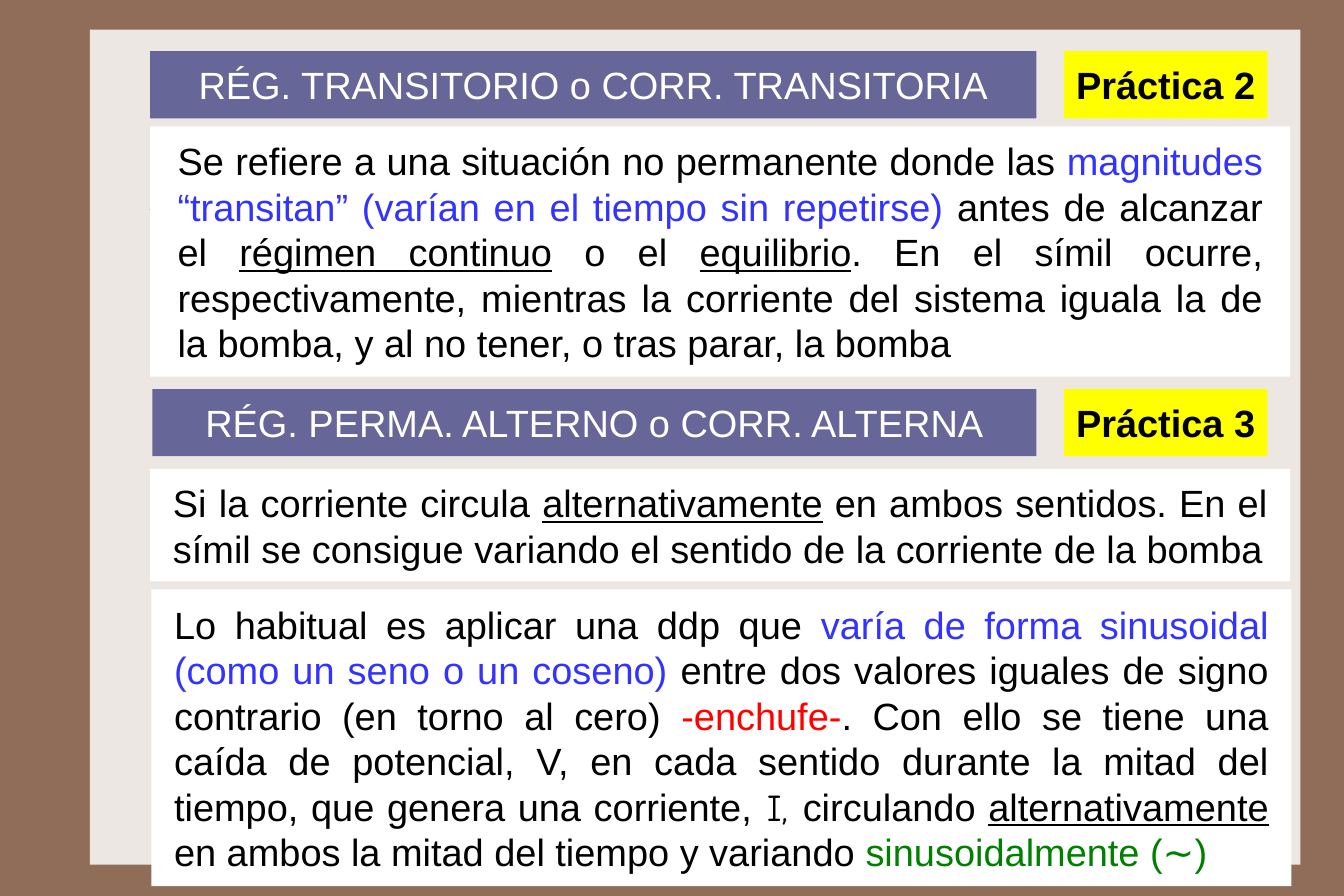
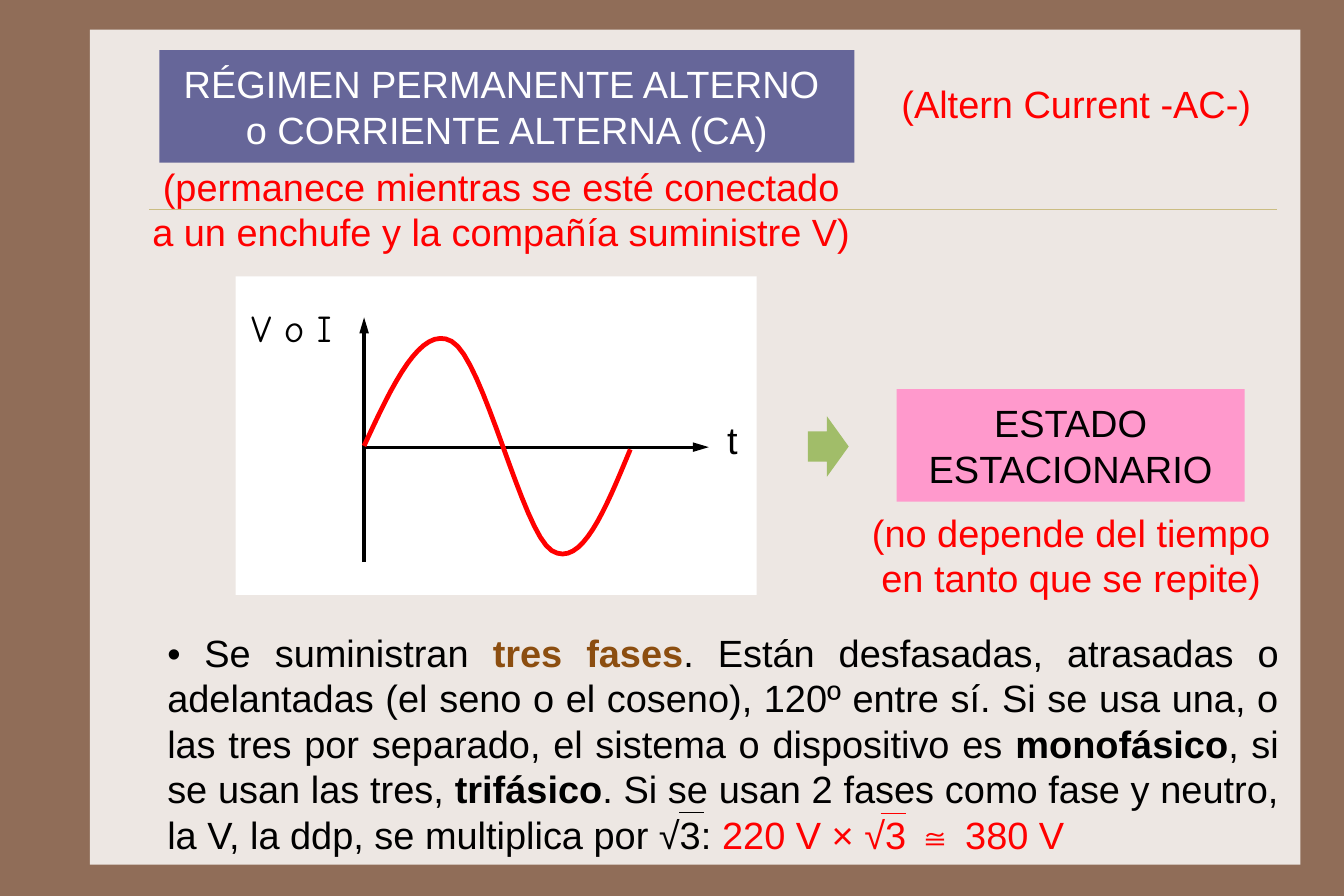
from lxml import etree
from pptx import Presentation
from pptx import util as u
from pptx.dml import color as c
from pptx.enum import shapes, text
from pptx.oxml import ns

PX = 9144
RECT = shapes.MSO_SHAPE.RECTANGLE
CENTER, JUSTIFY, LEFT = text.PP_ALIGN.CENTER, text.PP_ALIGN.JUSTIFY, text.PP_ALIGN.LEFT
WHITE, BLACK, RED, BLUE = "FFFFFF", "000000", "FF0000", "3333FF"
BROWN, GREEN, SLATE, YELLOW = "8C4E10", "008000", "666699", "FFFF00"


def hue(code):
    return c.RGBColor.from_string(code)


def put(shape, box, *runs, fill=None, color=BLACK, align=CENTER, side=5, font="Arial", bold=False):
    shape.left, shape.top, shape.width, shape.height = [n * PX for n in box]
    shape.shadow.inherit = False
    shape.line.fill.background()
    if fill:
        shape.fill.solid()
        shape.fill.fore_color.rgb = hue(fill)
    else:
        shape.fill.background()
    frame = shape.text_frame
    frame.word_wrap = True
    frame.auto_size = text.MSO_AUTO_SIZE.NONE
    frame.vertical_anchor = text.MSO_ANCHOR.MIDDLE
    frame.margin_left = frame.margin_right = side * PX
    frame.margin_top = frame.margin_bottom = 0
    paragraph = frame.paragraphs[0]
    for run in runs:
        words, look = (run, {}) if isinstance(run, str) else run
        for n, line in enumerate(words.split("\n")):
            if n:
                paragraph = frame.add_paragraph()
            piece = paragraph.add_run()
            piece.text = line
            piece.font.size = u.Pt(24)
            piece.font.name = look.get("font", font)
            piece.font.bold = look.get("bold", bold)
            piece.font.underline = look.get("underline", False)
            piece.font.color.rgb = hue(look.get("color", color))
    for paragraph in frame.paragraphs:
        paragraph.alignment = align
        paragraph.line_spacing = u.Pt(28.8)
        paragraph.space_before = u.Pt(0)
        if shape.is_placeholder:
            props = paragraph._p.get_or_add_pPr()
            props.set("marL", "0")
            props.set("indent", "0")
            etree.SubElement(props, ns.qn("a:buNone"))
    return shape


prs = Presentation()
prs.slide_width, prs.slide_height = u.Pt(850.5), u.Pt(567)
backdrop = prs.slide_master.background.fill
backdrop.solid()
backdrop.fore_color.rgb = hue("906D58")
layout = prs.slide_layouts[1]
regimes, alternating = [prs.slides.add_slide(layout) for _ in range(2)]
UNDERLINED, STRONG = {"underline": True}, {"bold": True}

put(regimes.shapes.title, (132, 45, 779, 59), "RÉG. TRANSITORIO o CORR. TRANSITORIA",
    fill=SLATE, color=WHITE)
put(regimes.placeholders[1], (132, 111, 1002, 220),
    "Se refiere a una situación no permanente donde las ",
    ("magnitudes “transitan” (varían en el tiempo sin repetirse) ", {"color": BLUE}),
    "antes de alcanzar el ", ("régimen continuo", UNDERLINED), " o el ",
    ("equilibrio", UNDERLINED),
    ". En el símil ocurre, respectivamente, mientras la corriente del sistema iguala la de "
    "la bomba, y al no tener, o tras parar, la bomba",
    fill=WHITE, align=JUSTIFY, side=24)
put(regimes.shapes.add_shape(RECT, 0, 0, 0, 0), (133, 518, 1002, 261),
    "Lo habitual es aplicar una ddp que ",
    ("varía de forma sinusoidal (como un seno o un coseno) ", {"color": BLUE}),
    "entre dos valores iguales de signo contrario (en torno al cero) ",
    ("-enchufe-", {"color": RED}),
    ". Con ello se tiene una caída de potencial, V, en cada sentido durante la mitad del "
    "tiempo, que genera una corriente,",
    (" I, ", {"font": "Comic Neue"}), "circulando ", ("alternativamente", UNDERLINED),
    " en ambos la mitad del tiempo y variando ", ("sinusoidalmente (∼)", {"color": GREEN}),
    fill=WHITE, align=JUSTIFY, side=20)
put(regimes.shapes.add_shape(RECT, 0, 0, 0, 0), (134, 342, 777, 59),
    "RÉG. PERMA. ALTERNO o CORR. ALTERNA", fill=SLATE, color=WHITE)
put(regimes.shapes.add_shape(RECT, 0, 0, 0, 0), (132, 412, 1002, 99),
    "Si la corriente circula ", ("alternativamente", UNDERLINED),
    " en ambos sentidos. En el símil se consigue variando el sentido de la corriente de la bomba",
    fill=WHITE, align=JUSTIFY, side=20)
for practice, top in (("Práctica 2", 45), ("Práctica 3", 342)):
    put(regimes.shapes.add_shape(RECT, 0, 0, 0, 0), (935, top, 179, 59), practice,
        fill=YELLOW, bold=True)

put(alternating.shapes.title, (140, 44, 611, 99),
    "RÉGIMEN PERMANENTE ALTERNO \no CORRIENTE ALTERNA (CA)", fill=SLATE, color=WHITE)
put(alternating.placeholders[1], (127, 543, 1017, 220),
    "• Se suministran ", ("tres fases", {"color": BROWN, "bold": True}),
    ". Están desfasadas, atrasadas o adelantadas (el seno o el coseno), 120º entre sí. Si se "
    "usa una, o las tres por separado, el sistema o dispositivo es ",
    ("monofásico", STRONG), ", si se usan las tres, ", ("trifásico", STRONG),
    ". Si se usan 2 fases como fase y neutro, la V, la ddp, se multiplica por √3: ",
    ("220 V × √3 ≅ 380 V", {"color": RED}), align=JUSTIFY, side=20)
put(alternating.shapes.add_shape(RECT, 0, 0, 0, 0), (207, 243, 458, 280), fill=WHITE)
put(alternating.shapes.add_shape(RECT, 0, 0, 0, 0), (788, 342, 306, 99),
    "ESTADO ESTACIONARIO", fill="FF99CC", side=10)
arrow = put(alternating.shapes.add_shape(shapes.MSO_SHAPE.RIGHT_ARROW, 0, 0, 0, 0),
            (710, 366, 36, 53), fill="A1BD69")
arrow.adjustments[0], arrow.adjustments[1] = 0.5, 0.53
for words, box, look in (
    ("(permanece mientras se esté conectado a un enchufe y la compañía suministre V)",
     (120, 134, 641, 99), {"color": RED, "side": 12}),
    ("(Altern Current -AC-)", (780, 61, 332, 59), {"color": RED}),
    ("(no depende del tiempo\nen tanto que se repite)", (748, 438, 387, 99), {"color": RED}),
    ("V o I", (211, 263, 98, 50), {"font": "Comic Neue", "align": LEFT, "side": 10}),
    ("t", (630, 361, 29, 50), {"align": LEFT, "side": 9}),
):
    put(alternating.shapes.add_textbox(0, 0, 0, 0), box, words, **look)

connectors = []
for ends, color, width, pointed in (
    ((131, 184, 1122, 184), "CBBD83", 0.25, False),
    ((320, 494, 320, 279), BLACK, 2, True),
    ((320, 393, 623, 393), BLACK, 2, True),
    ((597, 714, 619, 714), BLACK, 1, False),
    ((774, 715, 796, 715), RED, 1, False),
):
    line = alternating.shapes.add_connector(
        shapes.MSO_CONNECTOR.STRAIGHT, *[n * PX for n in ends])
    line.line.color.rgb = hue(color)
    line.line.width = u.Pt(width)
    props = line.element.spPr
    if pointed:
        etree.SubElement(props.find(ns.qn("a:ln")), ns.qn("a:tailEnd"),
                         type="triangle", w="med", len="lg")
    etree.SubElement(props, ns.qn("a:effectLst"))
    connectors.append(line)

wave_knots = [(320, 392), (345, 338), (370, 285), (397, 300), (425, 315),
              (459, 468), (485, 484), (511, 500), (532, 448), (554, 395)]
STEPS = 16
wave_points = []
for first in range(0, len(wave_knots) - 1, 3):
    for step in range(1, STEPS + 1):
        t = step / STEPS
        weights = ((1 - t) ** 3, 3 * t * (1 - t) ** 2, 3 * t * t * (1 - t), t ** 3)
        wave_points.append([
            round(PX * sum(w * knot[axis] for w, knot in zip(weights, wave_knots[first:first + 4])))
            for axis in (0, 1)])
outline = alternating.shapes.build_freeform(*[n * PX for n in wave_knots[0]])
outline.add_line_segments(wave_points, close=False)
wave = outline.convert_to_shape()
wave.shadow.inherit = False
wave.fill.background()
wave.line.color.rgb = hue(RED)
wave.line.width = u.Pt(3)

panel = put(alternating.shapes.add_shape(RECT, 0, 0, 0, 0), (79, 26, 1064, 734), fill="EDE7E3")
for number, part in enumerate((panel, connectors[0]), 20):
    part.element.xpath(".//p:cNvPr")[0].set("id", str(number))
    layout.shapes.element.append(part.element)

prs.save("out.pptx")
